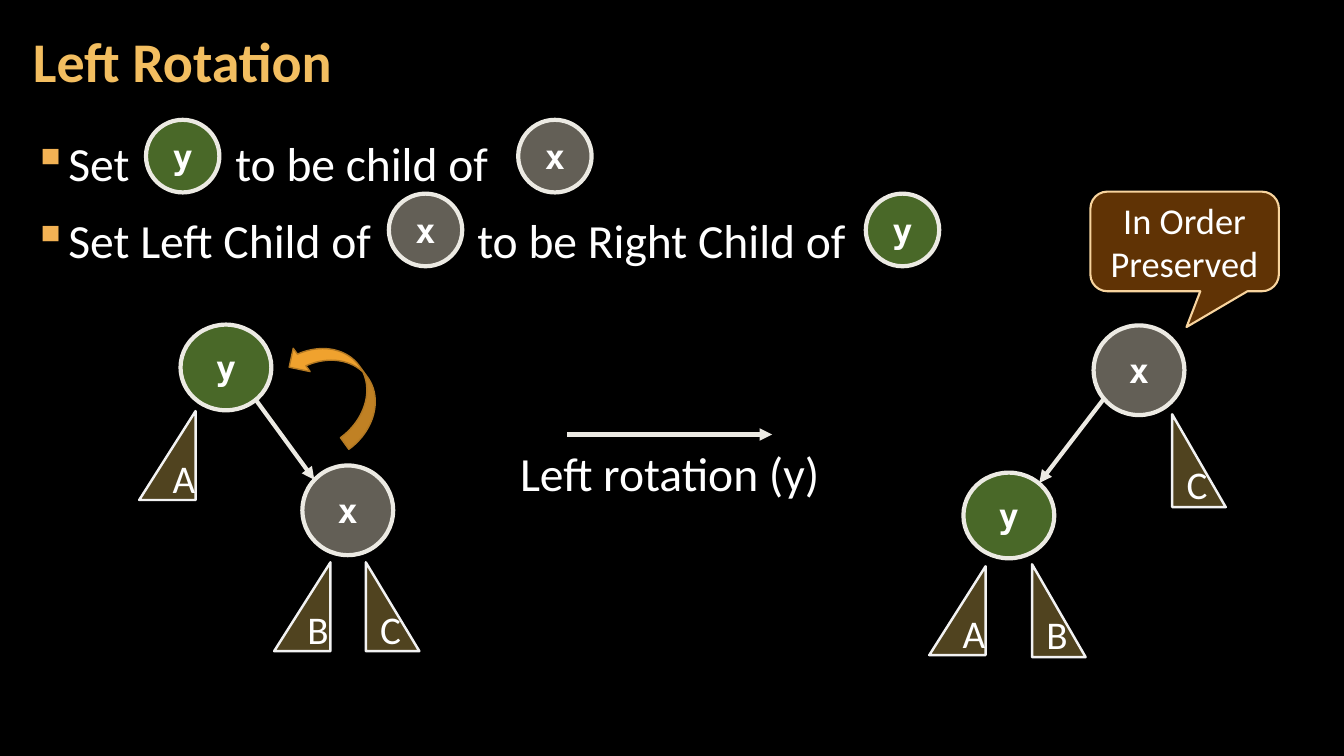
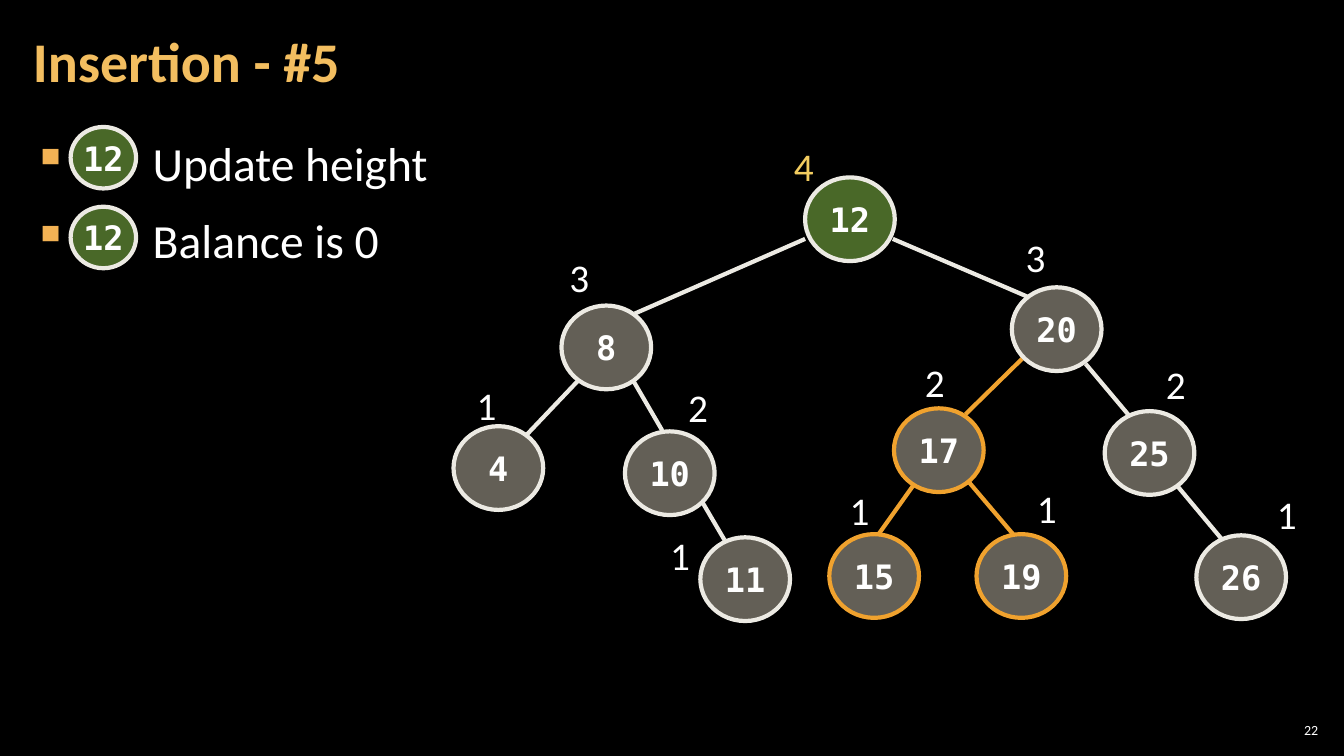
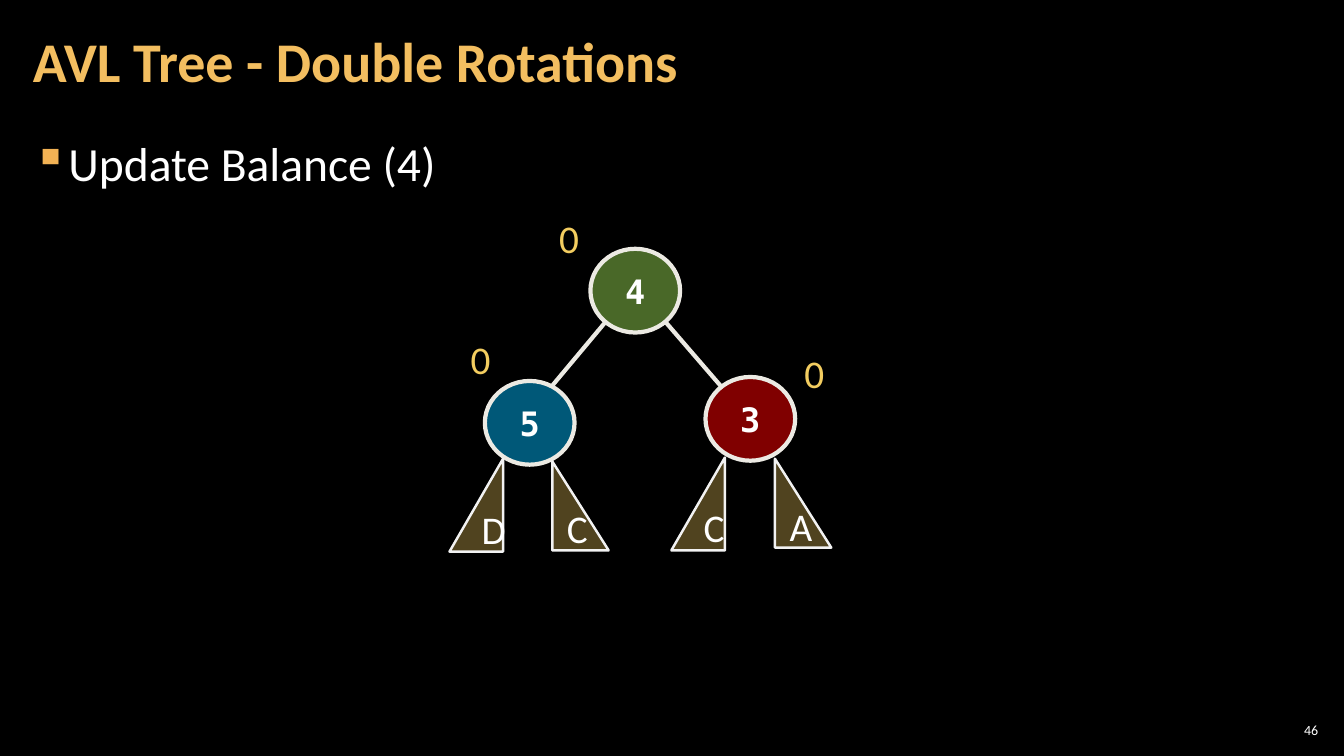
from dataclasses import dataclass
from lxml import etree
from pptx import Presentation
from pptx.dml.color import RGBColor
from pptx.enum.shapes import MSO_CONNECTOR, MSO_SHAPE
from pptx.enum.text import MSO_ANCHOR, PP_ALIGN
from pptx.oxml.ns import qn
from pptx.util import Cm, Pt

OVAL = MSO_SHAPE.OVAL
WEDGE = MSO_SHAPE.RIGHT_TRIANGLE
CALLOUT = MSO_SHAPE.ROUNDED_RECTANGULAR_CALLOUT
CURVE = MSO_SHAPE.CURVED_DOWN_ARROW
STRAIGHT = MSO_CONNECTOR.STRAIGHT
MIDDLE, TOP = MSO_ANCHOR.MIDDLE, MSO_ANCHOR.TOP
LEFT, MID, RIGHT = PP_ALIGN.LEFT, PP_ALIGN.CENTER, PP_ALIGN.RIGHT


@dataclass(frozen=True)
class Theme:
    back: str = "000000"
    ink: str = "FFFFFF"
    title: str = "F3BE60"
    bullet: str = "F2B254"
    gold: str = "F3CD60"
    line: str = "ECEAE3"
    edge: str = "F2F2F2"
    orange: str = "F0A22E"
    rust: str = "B27822"
    brown: str = "663606"
    tan: str = "F8D49E"
    grey: str = "C7BFAC"
    green: str = "92D050"
    red: str = "FF0000"
    blue: str = "00B0F0"
    font: str = "Calibri"
    mono: str = "DejaVu Sans Mono"
    head: int = 40
    body: int = 34
    label: int = 28
    note: int = 26
    node: int = 24
    page: int = 10


T = Theme()
BIG = (2.26, 2.11)     # tree node
SMALL = (1.85, 1.83)   # node inside a bullet line
TAG = (1.07, 1.45)     # number beside a node


# ---- Helpers ----
def paint(fill, color, alpha=100):
    fill.solid()
    fill.fore_color.rgb = RGBColor.from_string(color)
    if alpha < 100:
        tone = fill._xPr.find(qn("a:solidFill"))[0]
        etree.SubElement(tone, qn("a:alpha"), val=str(alpha * 1000))


def style(para, size, color=T.ink, bold=False, font=T.font, align=LEFT):
    para.alignment = align
    para.font.size, para.font.bold, para.font.name = Pt(size), bold, font
    para.font.color.rgb = RGBColor.from_string(color)


def inset(frame, side, edge):
    frame.margin_left = frame.margin_right = Cm(side)
    frame.margin_top = frame.margin_bottom = Cm(edge)


def write(slide, text, box, size, anchor=TOP, pad=(0.25, 0.13), **look):
    frame = slide.shapes.add_textbox(*map(Cm, box)).text_frame
    frame.word_wrap, frame.vertical_anchor = True, anchor
    inset(frame, *pad)
    para = frame.paragraphs[0]
    para.text = text
    style(para, size, **look)
    return para


def draw(slide, kind, box, color, alpha, line, width, flip=False):
    shape = slide.shapes.add_shape(kind, *map(Cm, box))
    shape.shadow.inherit = False
    paint(shape.fill, color, alpha)
    paint(shape.line.fill, line)
    shape.line.width = Pt(width)
    if flip:
        shape._element.spPr.find(qn("a:xfrm")).set("flipH", "1")
    return shape


def fit(shape, text, size, wrap=True, **look):
    frame = shape.text_frame
    frame.word_wrap, frame.vertical_anchor = wrap, MIDDLE
    para = frame.paragraphs[0]
    para.text = text
    style(para, size, align=MID, **look)


# ---- Tree parts ----
def node(slide, text, x, y, color=T.grey, size=BIG, line=T.line):
    shape = draw(slide, OVAL, (x, y, *size), color, 50, line, 3)
    fit(shape, text, T.node, wrap=False, bold=True, font=T.mono)


def wedge(slide, text, x, y, w, h, flip=False):
    shape = draw(slide, WEDGE, (x, y, w, h), T.gold, 33, T.edge, 1.75, flip)
    fit(shape, text, T.label)


def tag(slide, text, x, y, color=T.ink):
    write(slide, text, (x, y, *TAG), T.label, color=color)


def link(slide, ends, color=T.line, arrow=False):
    line = slide.shapes.add_connector(STRAIGHT, *map(Cm, ends))
    paint(line.line.fill, color)
    line.line.width = Pt(3)
    if arrow:
        etree.SubElement(line.line._get_or_add_ln(), qn("a:tailEnd"),
                         type="triangle")
    etree.SubElement(line._element.spPr, qn("a:effectLst"))


# ---- Shared slide frame ----
def bullets(slide, items, hang):
    """Each item is a text and the tab stop in it, or None."""
    box = slide.shapes.add_textbox(*map(Cm, (0.53, 3.2, 32.79, 15.47)))
    frame = box.text_frame
    frame.word_wrap = True
    inset(frame, 0.3, 0.1)
    for i, (text, stop) in enumerate(items):
        para = frame.add_paragraph() if i else frame.paragraphs[0]
        para.text = text
        style(para, T.body)
        para.line_spacing = 1.05
        para.space_before = para.space_after = Pt(6)
        props = para._p.get_or_add_pPr()
        props.set("marL", str(Cm(hang)))
        props.set("indent", str(-Cm(hang)))
        tone = etree.Element(qn("a:buClr"))
        etree.SubElement(tone, qn("a:srgbClr"), val=T.bullet)
        mark = etree.Element(qn("a:buChar"), char="▪")
        parts = [tone, mark]
        if stop:
            tabs = etree.Element(qn("a:tabLst"))
            etree.SubElement(tabs, qn("a:tab"), pos=str(Cm(stop)), algn="l")
            parts.append(tabs)
        spot = list(props).index(props.find(qn("a:defRPr")))
        props[spot:spot] = parts


def start(deck, title, items, hang=0.84, page=None):
    slide = deck.slides.add_slide(deck.slide_layouts[6])
    bullets(slide, items, hang)
    head = write(slide, title, (0.53, 0.1, 26.59, 3.07), T.head, MIDDLE,
                 (0.3, 0.1), color=T.title, bold=True)
    head.line_spacing = 0.9
    if page:
        write(slide, page, (32.13, 18.14, 1.19, 0.53), T.page, MIDDLE,
              (0.1, 0.1), align=RIGHT)
    return slide


# ---- Slides ----
def rotation(deck):
    slide = start(deck, "Left Rotation", [
        ("Set\tto be child of", 5.1),
        ("Set Left Child of\tto be Right Child of", 11.2)])
    colors = {"x": T.grey, "y": T.green}
    tall = {"x": (2.29, 2.26), "y": (2.29, 2.16)}

    # Trees before and after
    for name, x, y in [("x", 27.56, 8.2), ("y", 24.28, 11.91),
                       ("x", 7.62, 11.73), ("y", 4.55, 8.18)]:
        node(slide, name, x, y, colors[name], tall[name])
    for ends in [(27.81, 10.06, 26.19, 12.17), (6.45, 10.08, 7.92, 12.09),
                 (14.3, 10.95, 19.46, 10.95)]:
        link(slide, ends, arrow=True)
    for name, x, y, w, h, flip in [
            ("A", 3.51, 10.36, 1.42, 2.24, True),
            ("C", 9.22, 14.17, 1.35, 2.24, False),
            ("B", 6.91, 14.17, 1.42, 2.24, True),
            ("B", 26.01, 14.22, 1.35, 2.34, False),
            ("A", 23.42, 14.27, 1.42, 2.24, True),
            ("C", 29.54, 10.44, 1.35, 2.34, False)]:
        wedge(slide, name, x, y, w, h, flip)

    # Nodes in the bullet lines
    for name, x, y in [("y", 3.68, 3.02), ("x", 13.06, 3.02),
                       ("x", 9.8, 4.88), ("y", 21.82, 4.88)]:
        node(slide, name, x, y, colors[name], SMALL)

    # Labels and turn arrow
    para = write(slide, "Left rotation (y)", (10.9, 11.2, 11.96, 1.65),
                 T.body, pad=(0.3, 0.1), align=MID)
    para.line_spacing = 0.95
    para.space_before = para.space_after = Pt(6)
    note = draw(slide, CALLOUT, (27.48, 4.83, 4.75, 2.51), T.brown, 95,
                T.tan, 1.5)
    for i, value in enumerate((0.01, 0.86, 0.17)):
        note.adjustments[i] = value
    fit(note, "In Order Preserved", T.note)
    turn = draw(slide, CURVE, (7.06, 8.99, 2.92, 1.45), T.orange, 100,
                T.rust, 1, flip=True)
    turn.rotation = 54


def insertion(deck):
    slide = start(deck, "Insertion - #5", [
        ("Update height", None), ("Balance is 0", None)], 3.02, "22")
    for ends in [(20.29, 6.02, 16, 7.9), (14.58, 9.58, 13.23, 11),
                 (22.5, 6.02, 25.88, 7.47), (27.36, 9.17, 28.47, 10.49),
                 (15.98, 9.63, 16.69, 10.85), (17.68, 12.62, 18.26, 13.61),
                 (29.69, 12.27, 30.81, 13.61)]:
        link(slide, ends)
    for ends in [(25.76, 9.04, 24.33, 10.44), (23.01, 12.24, 22.12, 13.49),
                 (24.41, 12.14, 25.53, 13.46)]:
        link(slide, ends, T.orange)

    # Key, node place, height, place of the height
    for key, x, y, high, left, top in [
            ("20", 25.5, 7.24, "3", 25.6, 5.74),
            ("8", 14.15, 7.7, "3", 14.1, 6.25),
            ("4", 11.43, 10.74, "1", 11.76, 9.47),
            ("17", 22.53, 10.29, "2", 23.06, 8.89),
            ("25", 27.84, 10.36, "2", 29.13, 8.94),
            ("10", 15.75, 10.87, "2", 17.09, 9.53),
            ("15", 20.9, 13.46, "1", 21.16, 12.12),
            ("19", 24.61, 13.46, "1", 25.88, 12.07),
            ("11", 17.65, 13.54, "1", 16.64, 13.26),
            ("26", 30.15, 13.49, "1", 31.93, 12.22)]:
        line = T.orange if key in ("15", "17", "19") else T.line
        node(slide, key, x, y, line=line)
        tag(slide, high, left, top)

    # Root and its copies in the bullets
    node(slide, "12", 20.29, 4.47, T.green)
    tag(slide, "4", 19.76, 3.45, T.gold)
    for y in (3.2, 5.21):
        node(slide, "12", 1.78, y, T.green, (1.65, 1.55))


def double(deck):
    slide = start(deck, "AVL Tree - Double Rotations",
                  [("Update Balance (4)", None)], page="46")
    for ends in [(16.76, 8.1, 18.21, 9.78), (13.89, 9.75, 15.27, 8.1)]:
        link(slide, ends)
    for key, x, y, color, left, top in [
            ("4", 14.88, 6.27, T.green, 13.84, 5.28),
            ("3", 17.78, 9.5, T.red, 20.02, 8.66),
            ("5", 12.22, 9.6, T.blue, 11.61, 8.31)]:
        node(slide, key, x, y, color)
        tag(slide, "0", left, top, T.gold)
    for name, x, y, w, h, flip in [
            ("A", 19.53, 11.56, 1.42, 2.24, False),
            ("C", 16.92, 11.53, 1.35, 2.34, True),
            ("D", 11.33, 11.56, 1.35, 2.34, True),
            ("C", 13.92, 11.63, 1.42, 2.24, False)]:
        wedge(slide, name, x, y, w, h, flip)


def main():
    deck = Presentation()
    deck.slide_width, deck.slide_height = Cm(33.87), Cm(19.05)
    paint(deck.slide_master.background.fill, T.back)
    rotation(deck)
    insertion(deck)
    double(deck)
    deck.save("out.pptx")


if __name__ == "__main__":
    main()
